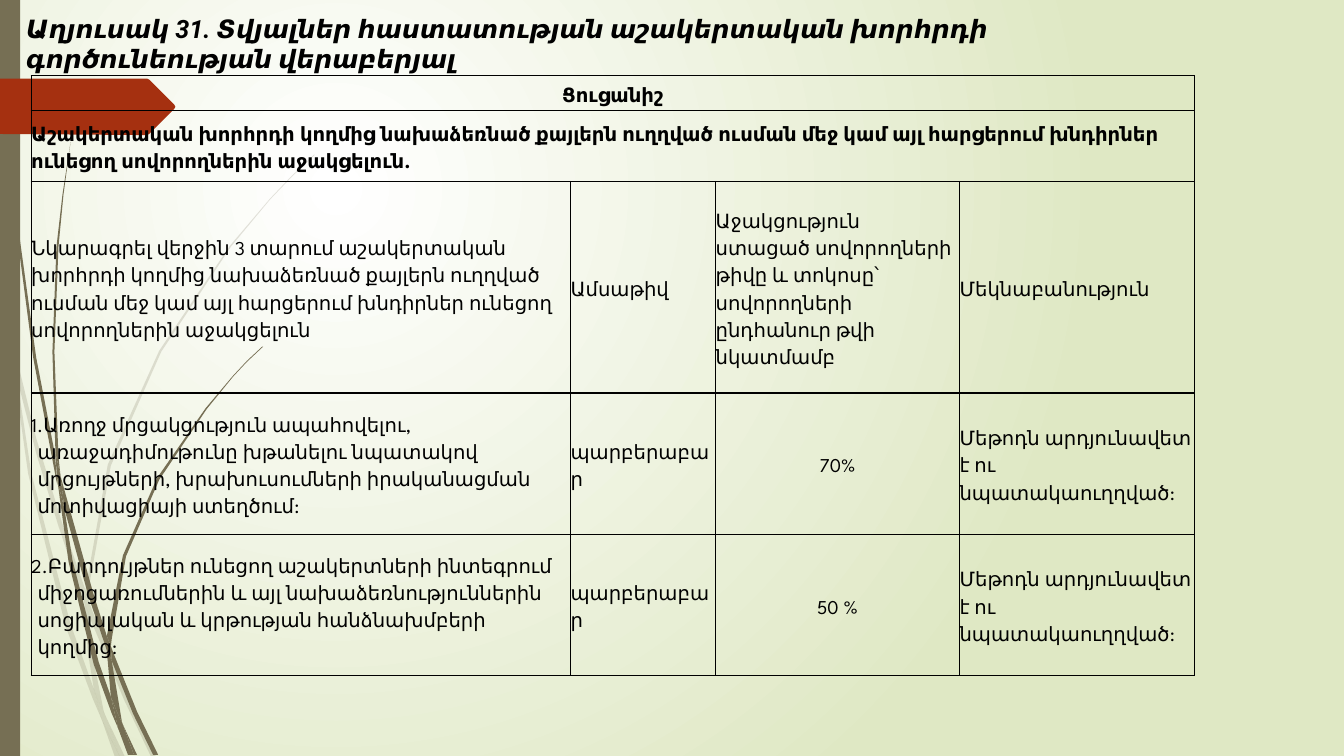
from pptx import Presentation
from pptx.dml.color import RGBColor
from pptx.enum.shapes import MSO_SHAPE
from pptx.enum.text import MSO_ANCHOR, MSO_AUTO_SIZE, PP_ALIGN
from pptx.oxml import parse_xml
from pptx.oxml.ns import nsdecls, qn
from pptx.util import Pt

BLACK = RGBColor(0x00, 0x00, 0x00)
WHITE = RGBColor(0xFF, 0xFF, 0xFF)
PALE_GREEN = RGBColor(0xDF, 0xE8, 0xC4)
OLIVE = RGBColor(0x76, 0x6F, 0x54)
RUST = RGBColor(0xA5, 0x30, 0x10)
RECTANGLE = MSO_SHAPE.RECTANGLE
TOP, MIDDLE = MSO_ANCHOR.TOP, MSO_ANCHOR.MIDDLE
LEFT, CENTER = PP_ALIGN.LEFT, PP_ALIGN.CENTER
NO_AUTOFIT = MSO_AUTO_SIZE.NONE
TITLE_ONLY = 5
OUTLINE_UNIT = Pt(0.72)

PALE_STALKS = [
    [(11, 350), (9, 322), (0, 282), (0, 299), (10, 344)],
    [(58, 522), (84, 599), (85, 586), (62, 520), (36, 435), (14, 345), (17, 376), (36, 450)],
    [(92, 607), (88, 596), (88, 610), (123, 694), (150, 751), (155, 751), (127, 692)],
    [(119, 751), (124, 751), (105, 711)],
    [(93, 683), (70, 619), (31, 469), (17, 376), (11, 350), (28, 470), (65, 621), (92, 693),
     (101, 714), (99, 707)],
    [(84, 599), (87, 646), (93, 683), (96, 692), (105, 711), (103, 706), (91, 646),
     (88, 610), (88, 608)],
    [(88, 584), (110, 462), (160, 349), (229, 245), (268, 198), (290, 175), (312, 154),
     (312, 153), (289, 175), (268, 197), (228, 244), (158, 348), (107, 461), (85, 584),
     (85, 586), (88, 596)],
    [(101, 714), (114, 751), (119, 751)],
    [(88, 608), (88, 610), (88, 596), (85, 586), (84, 599)],
    [(96, 692), (93, 683), (99, 707), (101, 714), (119, 751), (105, 711)],
]
DARK_STALKS = [
    [(7, 110), (17, 233), (33, 355), (56, 477), (57, 481), (55, 457), (55, 453), (36, 355),
     (19, 232), (8, 109), (5, 48), (4, 0), (3, 0), (4, 48)],
    [(88, 592), (106, 645), (106, 633), (106, 631), (93, 590), (60, 472), (64, 505)],
    [(113, 649), (110, 641), (111, 656), (132, 708), (152, 749), (157, 749), (136, 706)],
    [(110, 691), (98, 657), (72, 556), (64, 505), (57, 477), (68, 557), (93, 659), (111, 708),
     (117, 722), (116, 717)],
    [(60, 472), (58, 453), (54, 349), (58, 245), (63, 193), (70, 141), (62, 193), (56, 245),
     (52, 349), (55, 449)],
    [(133, 749), (136, 749), (122, 719)],
    [(57, 477), (64, 505), (60, 472), (55, 449), (55, 453)],
    [(111, 633), (125, 552), (158, 476), (205, 406), (231, 374), (245, 359), (261, 344),
     (260, 344), (245, 358), (231, 373), (204, 405), (156, 474), (122, 551), (106, 631),
     (110, 641)],
    [(117, 722), (127, 749), (131, 749)],
    [(106, 645), (110, 691), (116, 706), (122, 719), (121, 716), (111, 656), (109, 651)],
    [(106, 645), (109, 651), (111, 656), (110, 641), (106, 631), (106, 633)],
    [(116, 706), (110, 691), (116, 717), (117, 722), (130, 749), (133, 749), (122, 719)],
]
ARROW_TAB = [(173, 108), (148, 133), (146, 134), (136, 134), (0, 133), (0, 78), (136, 78),
             (146, 78), (148, 79), (173, 104), (174, 106)]

TITLE = "Աղյուսակ 31. Տվյալներ հաստատության աշակերտական խորհրդի գործունեության վերաբերյալ"
ROWS = [
    ["Ցուցանիշ"],
    ["Աշակերտական խորհրդի կողմից նախաձեռնած քայլերն ուղղված ուսման մեջ կամ այլ հարցերում "
     "խնդիրներ ունեցող սովորողներին աջակցելուն."],
    ["Նկարագրել վերջին 3 տարում աշակերտական խորհրդի կողմից նախաձեռնած քայլերն ուղղված ուսման "
     "մեջ կամ այլ հարցերում խնդիրներ ունեցող սովորողներին աջակցելուն",
     "Ամսաթիվ",
     "Աջակցություն ստացած սովորողների թիվը և տոկոսը՝ սովորողների ընդհանուր թվի նկատմամբ",
     "Մեկնաբանություն"],
    ["1.Առողջ մրցակցություն ապահովելու, առաջադիմութունը խթանելու նպատակով մրցույթների, "
     "խրախուսումների իրականացման մոտիվացիայի ստեղծում:",
     "պարբերաբար", "70%", "Մեթոդն արդյունավետ է ու նպատակաուղղված:"],
    ["2.Բարդույթներ ունեցող աշակերտների ինտեգրում միջոցառումներին և այլ նախաձեռնություններին "
     "սոցիալական և կրթության հանձնախմբերի կողմից:",
     "պարբերաբար", "50 %", "Մեթոդն արդյունավետ է ու նպատակաուղղված:"],
]
COLUMN_WIDTHS = [385.2, 103.7, 174.2, 167.8]
ROW_HEIGHTS = [25.2, 50.4, 151.2, 100.8, 100.8]


def set_background(page):
    page.element.cSld.insert(0, parse_xml(
        f'<p:bg {nsdecls("p", "a")}><p:bgPr><a:gradFill rotWithShape="1"><a:gsLst>'
        f'<a:gs pos="0"><a:srgbClr val="{WHITE}"/></a:gs>'
        f'<a:gs pos="100000"><a:srgbClr val="{PALE_GREEN}"/></a:gs></a:gsLst>'
        '<a:path path="circle"><a:fillToRect l="50000" t="50000" r="100000" b="100000"/></a:path>'
        '</a:gradFill><a:effectLst/></p:bgPr></p:bg>'))


def paint(shape, color, opacity=100):
    shape.shadow.inherit = False
    shape.fill.solid()
    shape.fill.fore_color.rgb = color
    shape.line.fill.background()
    if opacity < 100:
        color_element = shape.element.spPr.find(qn("a:solidFill"))[0]
        color_element.append(parse_xml(f'<a:alpha {nsdecls("a")} val="{opacity * 1000}"/>'))


def add_outline(page, points, color, opacity=100):
    builder = page.shapes.build_freeform(*points[0], scale=OUTLINE_UNIT)
    builder.add_line_segments(points[1:], close=True)
    paint(builder.convert_to_shape(), color, opacity)


def format_run(para, size, font_name, bold, italic=False):
    for span in para.runs:
        span.font.size = Pt(size)
        span.font.name = font_name
        span.font.bold = bold
        span.font.italic = italic
        span.font.color.rgb = BLACK


def set_title(page):
    title = page.shapes.title
    title.left, title.top, title.width, title.height = Pt(11.5), Pt(5.8), Pt(828), Pt(50)
    frame = title.text_frame
    frame.text = TITLE
    frame.word_wrap = True
    frame.auto_size = NO_AUTOFIT
    frame.vertical_anchor = TOP
    para = frame.paragraphs[0]
    para.alignment = LEFT
    format_run(para, 18, "Roboto", True, True)
    page.shapes[-1].element.addnext(title.element)


def set_borders(cell):
    properties = cell._tc.get_or_add_tcPr()
    for position, side in enumerate("LRTB"):
        properties.insert(position, parse_xml(
            f'<a:ln{side} {nsdecls("a")} w="{Pt(1)}"><a:solidFill>'
            f'<a:srgbClr val="{BLACK}"/></a:solidFill></a:ln{side}>'))


def fill_cell(cell, text, bold, centered, hanging):
    cell.text = text
    cell.vertical_anchor = MIDDLE
    para = cell.text_frame.paragraphs[0]
    para.alignment = CENTER if centered else LEFT
    para.line_spacing = 1.5
    if hanging:
        properties = para._p.get_or_add_pPr()
        properties.set("marL", str(Pt(4.5)))
        properties.set("indent", str(Pt(-4.5)))
    format_run(para, 14, "League Spartan", bold)


def add_council_table(page):
    frame = page.shapes.add_table(len(ROWS), len(COLUMN_WIDTHS), Pt(22.3), Pt(54),
                                  Pt(sum(COLUMN_WIDTHS)), Pt(sum(ROW_HEIGHTS)))
    table = frame.table
    table.first_row = table.horz_banding = False
    for column, width in zip(table.columns, COLUMN_WIDTHS):
        column.width = Pt(width)
    for row, height in zip(table.rows, ROW_HEIGHTS):
        row.height = Pt(height)
    for cell in table.iter_cells():
        cell.margin_left = cell.margin_right = cell.margin_top = cell.margin_bottom = 0
        cell.fill.background()
        set_borders(cell)
    for row_index, texts in enumerate(ROWS):
        heading = len(texts) == 1
        if heading:
            table.cell(row_index, 0).merge(table.cell(row_index, len(COLUMN_WIDTHS) - 1))
        for column_index, text in enumerate(texts):
            numbered = row_index > 2
            centered = row_index == 0 or (numbered and column_index == 2)
            fill_cell(table.cell(row_index, column_index), text, heading, centered,
                      numbered and column_index == 0)
    table.cell(1, 0).text_frame.paragraphs[0].space_after = Pt(10)


def main():
    deck = Presentation()
    deck.slide_width, deck.slide_height = Pt(960), Pt(540)
    page = deck.slides.add_slide(deck.slide_layouts[TITLE_ONLY])
    set_background(page)
    for points in PALE_STALKS:
        add_outline(page, points, OLIVE, 20)
    for points in DARK_STALKS:
        add_outline(page, points, OLIVE)
    paint(page.shapes.add_shape(RECTANGLE, 0, 0, Pt(14.4), Pt(540)), OLIVE)
    add_outline(page, ARROW_TAB, RUST)
    set_title(page)
    add_council_table(page)
    deck.save("out.pptx")


if __name__ == "__main__":
    main()
